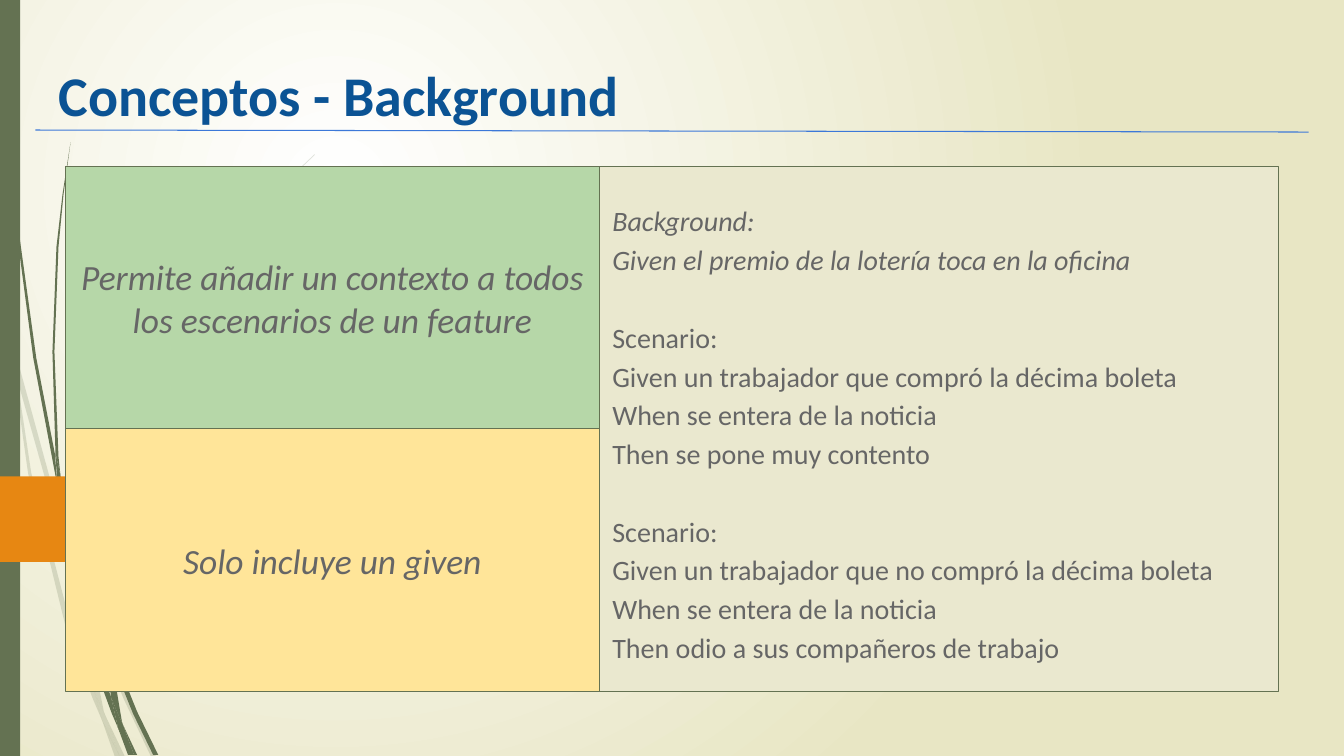
from pptx import Presentation
from pptx.dml.color import RGBColor
from pptx.enum.shapes import MSO_CONNECTOR, MSO_SHAPE
from pptx.enum.text import MSO_ANCHOR, PP_ALIGN
from pptx.oxml.ns import qn
from pptx.oxml.xmlchemy import OxmlElement
from pptx.util import Inches, Pt

RECT, ARROW = MSO_SHAPE.RECTANGLE, MSO_SHAPE.PENTAGON
LINE = MSO_CONNECTOR.STRAIGHT
MIDDLE, BOTTOM = MSO_ANCHOR.MIDDLE, MSO_ANCHOR.BOTTOM
LEFT, CENTER = PP_ALIGN.LEFT, PP_ALIGN.CENTER

WIDE, HIGH = 13.33, 7.5
MOSS, GRAY = "647252", "666666"
UNIT = 9144

# Each stem is a run of x y pairs in hundredths of an inch.
PALE = [
    "58 522 84 599 85 586 62 520 14 345 17 376",
    "92 607 88 596 88 610 123 694 150 751 155 751 127 692",
    "119 751 124 751 105 711",
    "93 683 70 619 31 469 17 376 11 350 28 470 65 621 92 693 101 714 99 707",
    "84 599 87 646 93 683 96 692 105 711 103 706 91 646 88 610 88 608",
    "88 584 110 462 160 349 229 245 268 198 290 175 312 154 312 153 289 175"
    " 268 197 228 244 158 348 107 461 85 584 85 586 88 596",
    "101 714 114 751 119 751",
    "96 692 93 683 99 707 101 714 119 751 105 711",
]
DARK = [
    "7 110 17 233 33 355 56 477 57 481 55 457 55 453 36 355 19 232 8 109"
    " 5 48 4 0 3 0 4 48",
    "88 592 106 645 106 633 106 631 93 590 60 472 64 505",
    "113 649 110 641 111 656 132 708 152 749 157 749 136 706",
    "110 691 98 657 72 556 64 505 57 477 68 557 93 659 111 708 117 722 116 717",
    "60 472 58 453 54 349 58 245 63 193 70 141 62 193 56 245 52 349 55 449",
    "133 749 136 749 122 719",
    "57 477 64 505 60 472 55 449 55 453",
    "117 722 127 749 131 749",
    "106 645 110 691 116 706 122 719 121 716 111 656 109 651",
    "116 706 110 691 116 717 117 722 130 749 133 749 122 719",
]
STORY = [
    ["Background:", "Given el premio de la lotería toca en la oficina"],
    ["Scenario:", "Given un trabajador que compró la décima boleta",
     "When se entera de la noticia", "Then se pone muy contento"],
    ["Scenario:", "Given un trabajador que no compró la décima boleta",
     "When se entera de la noticia", "Then odio a sus compañeros de trabajo"],
]


def color(code):
    return RGBColor.from_string(code)


def paint(shape, fill, line=None):
    shape.shadow.inherit = False
    shape.fill.solid()
    shape.fill.fore_color.rgb = color(fill)
    if line:
        shape.line.color.rgb = color(line)
        shape.line.width = Pt(0.75)
    else:
        shape.line.fill.background()
    return shape


def block(slide, kind, box, fill, line=None):
    return paint(slide.shapes.add_shape(kind, *map(Inches, box)), fill, line)


def frame(shape, anchor, top=0.13):
    text = shape.text_frame
    text.word_wrap = True
    text.vertical_anchor = anchor
    text.margin_left = text.margin_right = text.margin_bottom = Inches(0.13)
    text.margin_top = Inches(top)
    return text


def write(para, text, size=20, tint=GRAY, bold=False, slant=False,
          align=LEFT, lead=1.0, gap=0):
    para.alignment, para.line_spacing = align, lead
    para.space_before = Pt(gap)
    run = para.add_run()
    run.text = text
    font = run.font
    font.name, font.size = "Calibri", Pt(size)
    font.bold, font.italic = bold, slant
    font.color.rgb = color(tint)


def ground(slide):
    fill = slide.background.fill
    fill.gradient()
    for stop, code in zip(fill.gradient_stops, ("FFFFFF", "E8E6C4")):
        stop.color.rgb = color(code)
    lin = next(slide.element.iter(qn("a:lin")))
    ring = OxmlElement("a:path")
    ring.set("path", "circle")
    focus = OxmlElement("a:fillToRect")
    for side, share in zip("ltrb", (50, 50, 100, 100)):
        focus.set(side, str(share * 1000))
    ring.append(focus)
    lin.getparent().replace(lin, ring)


def stem(slide, trace, alpha=100):
    marks = [int(part) for part in trace.split()]
    first, *rest = zip(marks[::2], marks[1::2])
    pen = slide.shapes.build_freeform(*first, scale=UNIT)
    pen.add_line_segments(rest, close=True)
    leaf = paint(pen.convert_to_shape(), MOSS)
    if alpha < 100:
        tint = next(leaf.element.spPr.iter(qn("a:srgbClr")))
        node = OxmlElement("a:alpha")
        node.set("val", str(alpha * 1000))
        tint.append(node)


def edge(slide, box):
    left, top, width, height = box
    for trace in PALE:
        stem(slide, trace, 20)
    for trace in DARK:
        stem(slide, trace)
    block(slide, RECT, (left, top, width * 0.105, height), MOSS)
    block(slide, ARROW, (left, top + height * 0.63, width, 0.85), "E78712")


def title(slide, box):
    left, top, width, height = box
    text = frame(slide.shapes.add_textbox(*map(Inches, box)), BOTTOM)
    write(text.paragraphs[0], "Conceptos - Background", size=40,
          tint="0B5394", bold=True, lead=1.5)
    base = top + height
    ends = (left - 0.1, base - 0.11, left + width + 0.11, base - 0.09)
    rule = slide.shapes.add_connector(LINE, *map(Inches, ends))
    rule.line.color.rgb = color("3C78D8")
    rule.line.width = Pt(0.75)
    rule.element.spPr.append(OxmlElement("a:effectLst"))


def story(slide, box):
    text = frame(block(slide, RECT, box, "EAE8CF", MOSS), MIDDLE, top=0.18)
    para = text.paragraphs[0]
    for part, lines in enumerate(STORY):
        for row, line in enumerate(lines):
            if part or row:
                para = text.add_paragraph()
            write(para, line, slant=part == 0, lead=1.15,
                  gap=28 if part and not row else 0)


def note(slide, box, words, fill):
    text = frame(block(slide, RECT, box, fill, MOSS), MIDDLE)
    write(text.paragraphs[0], words, size=25.3, slant=True, align=CENTER)


def board(slide, box):
    left, top, width, height = box
    side, half = width * 0.44, height / 2
    story(slide, (left + side, top, width - side, height))
    notes = [
        ("Permite añadir un contexto a todos los escenarios de un feature",
         "B6D7A8"),
        ("Solo incluye un given", "FFE599"),
    ]
    for row, (words, fill) in enumerate(notes):
        note(slide, (left, top + row * half, side, half), words, fill)


def main():
    deck = Presentation()
    deck.slide_width, deck.slide_height = Inches(WIDE), Inches(HIGH)
    slide = deck.slides.add_slide(deck.slide_layouts[6])
    ground(slide)
    edge(slide, (0, 0, 1.91, HIGH))
    title(slide, (0.45, 0.2, 12.42, 1.2))
    board(slide, (0.65, 1.65, 12.03, 5.21))
    deck.save("out.pptx")


if __name__ == "__main__":
    main()
